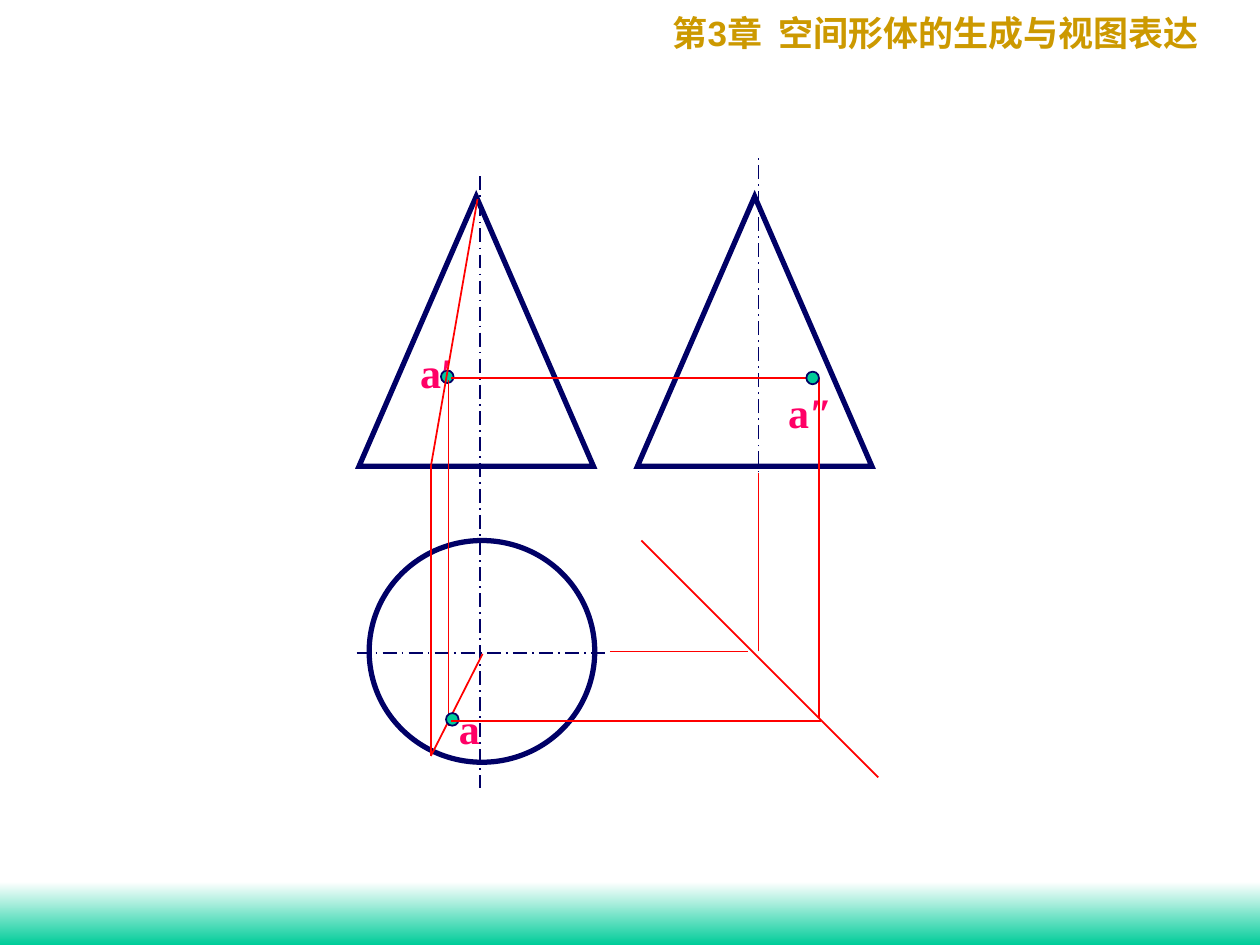
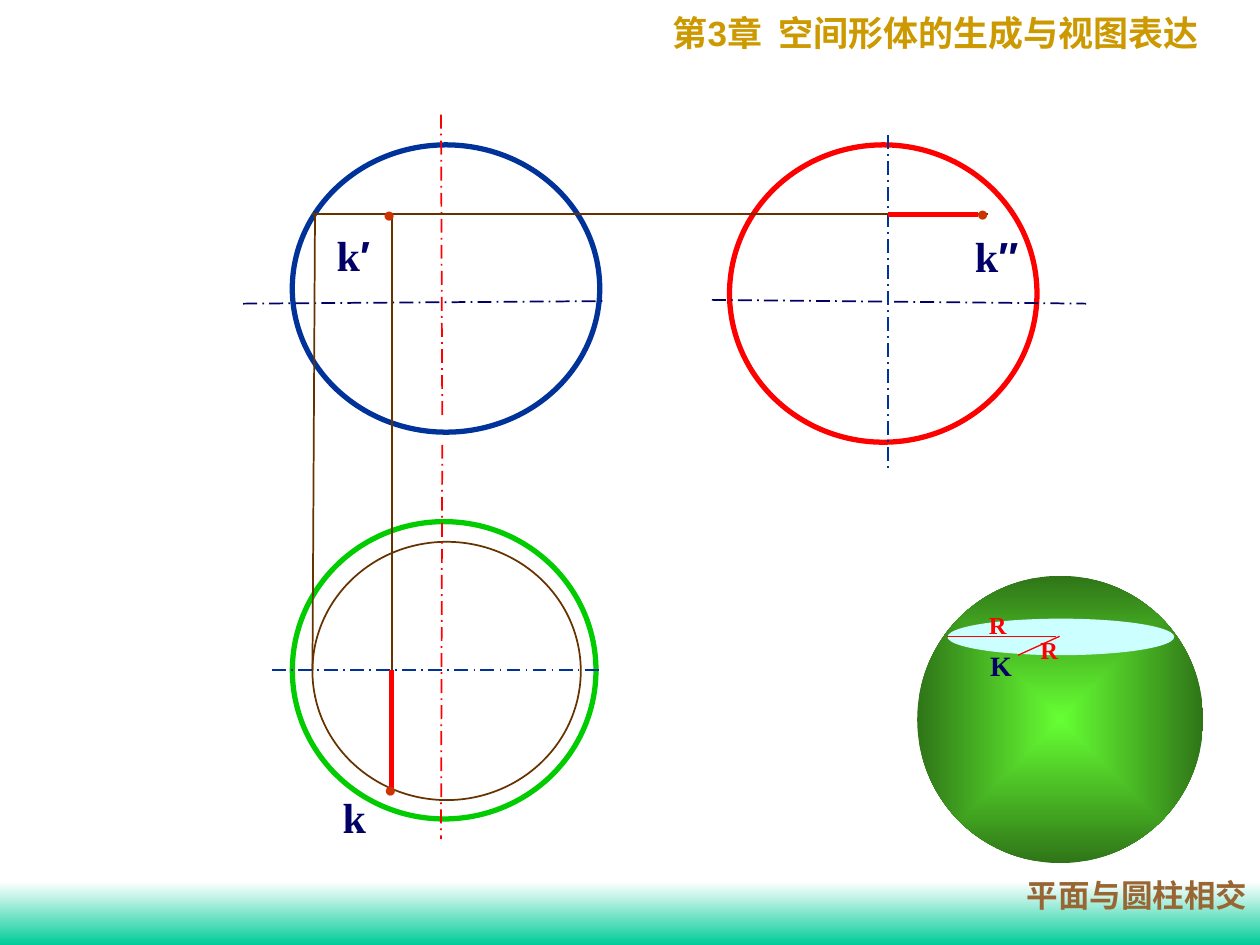
import lxml.etree
import pptx
import pptx.dml.color
import pptx.enum.dml
import pptx.enum.shapes
import pptx.enum.text
import pptx.oxml.ns
import pptx.util

RGB = pptx.dml.color.RGBColor
KIND = pptx.enum.shapes.MSO_SHAPE
ALIGN = pptx.enum.text.PP_ALIGN
ANCHOR = pptx.enum.text.MSO_ANCHOR
DASH = pptx.enum.dml.MSO_LINE.LONG_DASH_DOT

WHITE = RGB(0xFF, 0xFF, 0xFF)
TEAL = RGB(0x00, 0xCC, 0x99)
GOLD = RGB(0xCC, 0x99, 0x00)
NAVY = RGB(0x00, 0x00, 0x66)
BLUE = RGB(0x00, 0x33, 0x99)
RED = RGB(0xFF, 0x00, 0x00)
PINK = RGB(0xFF, 0x00, 0x66)
GREEN = RGB(0x00, 0xCC, 0x00)
BROWN = RGB(0x66, 0x33, 0x00)
TAN = RGB(0x99, 0x66, 0x33)
RUST = RGB(0xCC, 0x33, 0x00)
LIME = RGB(0x66, 0xFF, 0x33)
MOSS = RGB(0x2F, 0x75, 0x17)
ICE = RGB(0xCC, 0xFF, 0xFF)

SERIF, SANS = "Times New Roman", "Arial"
WIDTH, HEIGHT = pptx.util.Inches(10), pptx.util.Inches(7.5)
COLS, ROWS = 100, 75


def grid(*spots):
    """Turn alternating columns and rows into slide lengths."""
    units = (WIDTH / COLS, HEIGHT / ROWS)
    return [round(spot * units[i % 2]) for i, spot in enumerate(spots)]


def add_tag(parent, tag, **attrs):
    return lxml.etree.SubElement(parent, pptx.oxml.ns.qn(tag), **attrs)


def add_shape(slide, kind, box, fill=None, line=None, weight=3):
    """Draw a preset shape; fill is a colour, a list of gradient ends or None."""
    shape = slide.shapes.add_shape(kind, *grid(*box))
    shape.shadow.inherit = False
    if fill is None:
        shape.fill.background()
    elif isinstance(fill, list):
        shape.fill.gradient()
        shape.fill.gradient_angle = 270
        for stop, tone in zip(shape.fill.gradient_stops, fill):
            stop.color.rgb = tone
    else:
        shape.fill.solid()
        shape.fill.fore_color.rgb = fill
    if line is None:
        shape.line.fill.background()
    else:
        shape.line.color.rgb = line
        shape.line.width = pptx.util.Pt(weight)
        outline = shape._element.spPr.find(pptx.oxml.ns.qn("a:ln"))
        add_tag(outline, "a:miter", lim="800000")
    return shape


def add_line(slide, start, end, color=RED, weight=1, dash=None):
    line = slide.shapes.add_connector(
        pptx.enum.shapes.MSO_CONNECTOR.STRAIGHT, *grid(*start, *end))
    line.line.color.rgb = color
    line.line.width = pptx.util.Pt(weight)
    if dash:
        line.line.dash_style = dash
    add_tag(line._element.spPr, "a:effectLst")


def add_text(slide, box, *parts, size=24, color=NAVY, font=SERIF, bold=True,
             align=ALIGN.CENTER, anchor=ANCHOR.TOP, wrap=True):
    """Write one paragraph; a part is text or a pair of text and font."""
    frame = slide.shapes.add_textbox(*grid(*box)).text_frame
    frame.word_wrap = wrap
    frame.vertical_anchor = anchor
    para = frame.paragraphs[0]
    para.alignment = align
    for part in parts:
        words, face = part if isinstance(part, tuple) else (part, font)
        run = para.add_run()
        run.text = words
        run.font.name = face
        run.font.size = pptx.util.Pt(size)
        run.font.bold = bold
        run.font.color.rgb = color


def add_dot(slide, left, top):
    add_shape(slide, KIND.OVAL, (left, top, 1, 1), TEAL, NAVY, 1)


def add_mark(slide, left, top):
    add_text(slide, (left, top, 3.6, 3), "●", size=12, color=RUST, font=SANS,
             bold=False, anchor=ANCHOR.MIDDLE, wrap=False)


def start_slide(deck):
    """Add a blank slide with the bottom band and the chapter title."""
    slide = deck.slides.add_slide(deck.slide_layouts[6])
    add_shape(slide, KIND.RECTANGLE, (0, 70, COLS, 5), [WHITE, TEAL])
    add_text(slide, (52.4, 0.4, 44.9, 7.7), "第", ("3", SANS),
             "章  空间形体的生成与视图表达", size=20, color=GOLD, align=ALIGN.LEFT)
    return slide


def draw_cone(deck):
    slide = start_slide(deck)
    for left in (28.5, 50.6):
        add_shape(slide, KIND.ISOSCELES_TRIANGLE, (left, 15.6, 18.6, 21.4), line=NAVY)
    add_shape(slide, KIND.OVAL, (29.3, 42.9, 17.9, 17.6), line=NAVY)
    for start, end in (((38.1, 14), (38.1, 62.5)),
                       ((60.2, 39), (60.2, 12.3)),
                       ((28.3, 51.8), (48.3, 51.8))):
        add_line(slide, start, end, NAVY, dash=DASH)

    add_dot(slide, 35, 29.4)
    for label, box in (("a″", (60.1, 30.2, 8.4, 5)),
                       ("a", (34.3, 55.3, 5.9, 5)),
                       ("a′", (30.9, 27, 7.5, 5))):
        add_text(slide, box, label, color=PINK)

    base, foot = (34.2, 37), (34.2, 60)
    for start, end in (((37.9, 15.8), base), (base, foot),
                       ((38.3, 51.9), foot), ((35.6, 30.2), (35.6, 57.6))):
        add_line(slide, start, end)
    add_dot(slide, 35.4, 56.6)
    for start, end in (((50.9, 42.9), (69.7, 61.7)),
                       ((35.8, 57.2), (65.2, 57.2)),
                       ((65, 57), (65, 30)),
                       ((35.8, 30), (65, 30))):
        add_line(slide, start, end)
    add_dot(slide, 64, 29.5)
    add_line(slide, (48.4, 51.7), (59.4, 51.7), weight=0.75)
    add_line(slide, (60.2, 51.7), (60.2, 37.5), weight=0.75)


def draw_ball(slide):
    """Draw the shaded ball with its section and two radii."""
    ball = add_shape(slide, KIND.OVAL, (72.8, 45.7, 22.7, 22.8), [LIME, MOSS])
    grad = ball._element.spPr.find(pptx.oxml.ns.qn("a:gradFill"))
    grad.remove(grad.find(pptx.oxml.ns.qn("a:lin")))
    focus = add_tag(grad, "a:path", path="rect")
    add_tag(focus, "a:fillToRect", **dict.fromkeys("ltrb", "50000"))

    add_text(slide, (77.6, 51, 4, 3.7), "K", size=16, align=ALIGN.LEFT)
    add_shape(slide, KIND.OVAL, (75.2, 49.1, 18, 2.9), ICE)
    add_line(slide, (84.1, 50.5), (80.8, 52), weight=0.75)
    add_line(slide, (83.8, 50.5), (75.2, 50.5), weight=0.75)
    for left, top in ((77.5, 47.9), (81.6, 49.9)):
        add_text(slide, (left, top, 5.4, 3.4), "R", size=14, color=RED,
                 align=ALIGN.LEFT)


def draw_sphere(deck):
    slide = start_slide(deck)
    for box, color, weight in (((23.2, 11.5, 24.4, 22.8), BLUE, 3),
                               ((23.2, 41.4, 24.1, 23.6), GREEN, 3),
                               ((57.9, 11.5, 24.4, 23.6), RED, 3),
                               ((24.8, 43, 21.3, 20.5), BROWN, 1)):
        add_shape(slide, KIND.OVAL, box, line=color, weight=weight)
    for start, end, color in (((19.3, 24.1), (47.8, 23.9), NAVY),
                              ((35, 9.1), (35.1, 33), RED),
                              ((56.5, 23.8), (86.2, 24.1), NAVY),
                              ((70.5, 10.7), (70.5, 37.5), BLUE),
                              ((21.6, 53.2), (47.9, 53.2), BLUE),
                              ((35.1, 35.3), (35, 66.6), RED)):
        add_line(slide, start, end, color, dash=DASH)
    for start, end in (((24.8, 17), (78.4, 17)),
                       ((31.1, 17), (31.1, 62.7)),
                       ((25, 17), (24.8, 53.2))):
        add_line(slide, start, end, BROWN)
    add_line(slide, (31.1, 53.2), (31.1, 62.7), weight=3)
    add_line(slide, (70.5, 17), (77.6, 17), weight=3)

    for left, top in ((29.1, 15.5), (29.2, 61.1), (76.2, 15.4)):
        add_mark(slide, left, top)
    for box, parts in (((25.3, 17.7, 5.5, 5), ("k", ("′", SANS))),
                       ((26.2, 62.3, 3.8, 5), ("k",)),
                       ((76, 17.8, 6.2, 5), ("k", ("″", SANS)))):
        add_text(slide, box, *parts, anchor=ANCHOR.MIDDLE, wrap=False)

    draw_ball(slide)
    add_text(slide, (80.5, 69, 19.5, 4), "平面与圆柱相交", size=18, color=TAN,
             wrap=False)


def main():
    deck = pptx.Presentation()
    deck.slide_width, deck.slide_height = WIDTH, HEIGHT
    draw_cone(deck)
    draw_sphere(deck)
    deck.save("out.pptx")


if __name__ == "__main__":
    main()
